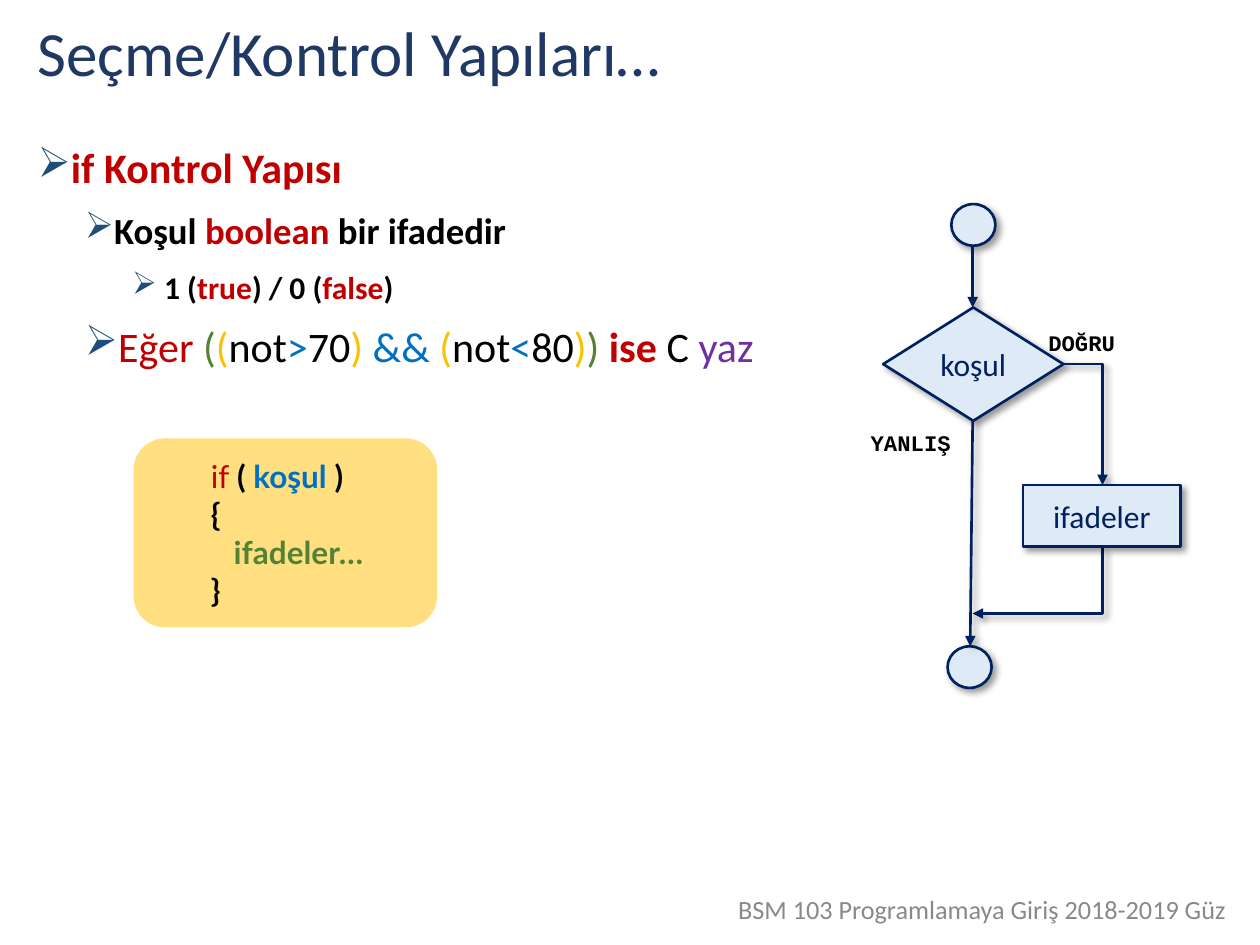
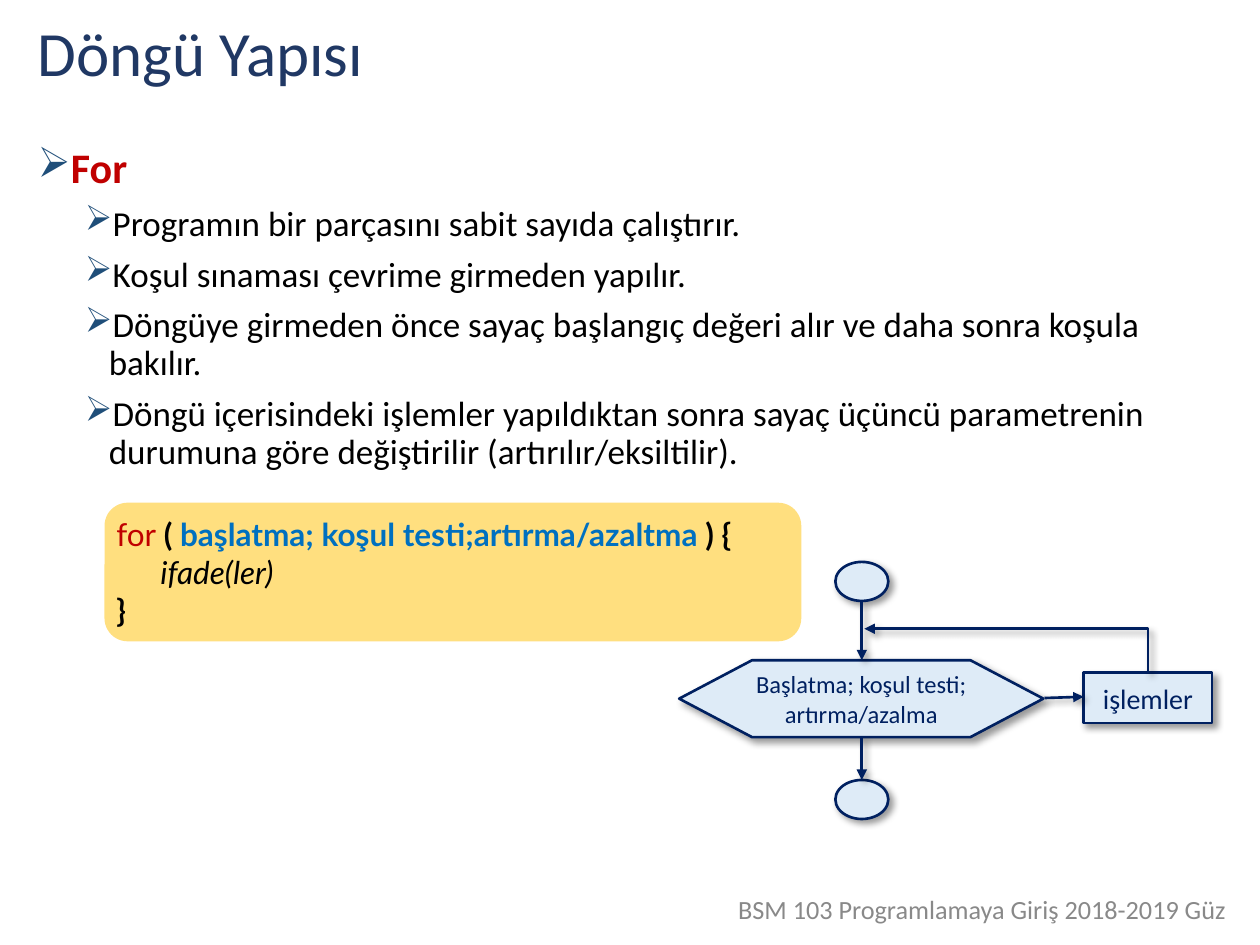
from lxml.etree import SubElement
from pptx import Presentation
from pptx.dml.color import RGBColor
from pptx.enum.shapes import MSO_CONNECTOR as CONN, MSO_SHAPE as SHAPE
from pptx.enum.text import MSO_ANCHOR as ANCHOR, PP_ALIGN as ALIGN
from pptx.oxml.ns import qn
from pptx.util import Inches, Pt

BLACK, RED, BLUE = "000000", "C00000", "0070C0"
GREEN, GOLD, PURPLE = "548235", "FFC000", "7030A0"
NAVY, PALE = "002060", "DEEBF7"
TITLE, BULLET, GREY = "203864", "1F4E79", "898989"
FOOTER = "BSM 103 Programlamaya Giriş 2018-2019 Güz"
FLOW_TEXT = dict(name="Calibri", color=NAVY)


def rgb(color):
    return RGBColor.from_string(color)


def inches(*values):
    return [Inches(v) for v in values]


def add_xml(parent, tag, **attrs):
    el = SubElement(parent, qn(tag))
    for key, value in attrs.items():
        el.set(key, str(value))
    return el


class Deck:
    """Holds the shared style and the slide being filled."""

    def __init__(self):
        self.prs = Presentation()
        self.prs.slide_width, self.prs.slide_height = inches(10, 7.5)
        self.slide = None

    def new_slide(self, title):
        self.slide = self.prs.slides.add_slide(self.prs.slide_layouts[6])
        self.text((5.63, 7.04, 4.33, 0.28), FOOTER, align=ALIGN.CENTER,
                  size=15, name="Calibri", color=GREY)
        tf = self.text((0.2, 0.13, 9.61, 0.63), title,
                       size=36, name="Calibri", color=TITLE)
        tf.vertical_anchor = ANCHOR.MIDDLE
        tf.paragraphs[0].line_spacing = 0.9

    def frame(self, sp, insets=(0.1, 0.05)):
        tf = sp.text_frame
        tf.word_wrap = True
        tf.margin_left = tf.margin_right = Inches(insets[0])
        tf.margin_top = tf.margin_bottom = Inches(insets[1])
        return tf

    def paragraph(self, tf, first):
        return tf.paragraphs[0] if first else tf.add_paragraph()

    def run(self, p, text, **fmt):
        r = p.add_run()
        r.text = text
        for key, value in fmt.items():
            if key == "color":
                r.font.color.rgb = rgb(value)
            else:
                setattr(r.font, key, Pt(value) if key == "size" else value)

    def text(self, box, text, insets=(0.1, 0.05), align=ALIGN.LEFT, **fmt):
        tf = self.frame(self.slide.shapes.add_textbox(*inches(*box)), insets)
        tf.paragraphs[0].alignment = align
        self.run(tf.paragraphs[0], text, **fmt)
        return tf

    def bullets(self, box, items):
        """Each item is (depth, space before, paragraph format, font, runs)."""
        tf = self.frame(self.slide.shapes.add_textbox(*inches(*box)))
        for i, (depth, before, layout, font, runs) in enumerate(items):
            p = self.paragraph(tf, i == 0)
            pPr = p._p.get_or_add_pPr()
            pPr.set("marL", str(Inches(0.19 + 0.375 * depth)))
            pPr.set("indent", str(Inches(-0.19)))
            add_xml(add_xml(pPr, "a:buClr"), "a:srgbClr", val=BULLET)
            add_xml(pPr, "a:buChar", char="➢")
            p.level, p.line_spacing = depth, 0.9
            if i:
                p.space_before = Pt(before)
            for key, value in layout.items():
                setattr(p, key, value)
            for text, color, *bold in runs:
                fmt = dict(name="Calibri", color=color, **font)
                if bold:
                    fmt["bold"] = bold[0]
                self.run(p, text, **fmt)

    def code(self, box, lines, indent=0):
        """Each line is a list of (text, font format)."""
        sp = self.slide.shapes.add_shape(SHAPE.ROUNDED_RECTANGLE, *inches(*box))
        sp.shadow.inherit = False
        sp.fill.solid()
        sp.fill.fore_color.rgb = rgb(GOLD)
        add_xml(sp._element.spPr.find(".//" + qn("a:srgbClr")), "a:alpha", val=50000)
        sp.line.fill.background()
        tf = self.frame(sp, (0.04, 0.05))
        tf.vertical_anchor = ANCHOR.MIDDLE
        for i, runs in enumerate(lines):
            p = self.paragraph(tf, i == 0)
            p.alignment = ALIGN.LEFT
            p._p.get_or_add_pPr().set("marL", str(Inches(indent)))
            for text, fmt in runs:
                self.run(p, text, name="Lato", size=18, **fmt)

    def outline(self, sp):
        sp.line.color.rgb = rgb(NAVY)
        sp.line.width = Pt(1.5)

    def cast_shadow(self, sp):
        effects = add_xml(sp._element.spPr, "a:effectLst")
        shadow = add_xml(effects, "a:outerShdw", blurRad=Pt(4), dist=Pt(3),
                         dir=45 * 60000, algn="tl", rotWithShape=0)
        add_xml(add_xml(shadow, "a:srgbClr", val=BLACK), "a:alpha", val=40000)

    def node(self, kind, box, text="", size=18, side=0.1):
        sp = self.slide.shapes.add_shape(kind, *inches(*box))
        sp.fill.solid()
        sp.fill.fore_color.rgb = rgb(PALE)
        self.outline(sp)
        self.cast_shadow(sp)
        if text:
            tf = self.frame(sp, (side, 0.05))
            tf.vertical_anchor = ANCHOR.MIDDLE
            tf.paragraphs[0].alignment = ALIGN.CENTER
            self.run(tf.paragraphs[0], text, size=size, **FLOW_TEXT)

    def arrow(self, start, end, bent=False, tip="a:tailEnd"):
        """A bent arrow runs level from start, then upright to end."""
        kind = CONN.ELBOW if bent else CONN.STRAIGHT
        sp = self.slide.shapes.add_connector(kind, *inches(*start, *end))
        if bent:
            sp._element.spPr.find(qn("a:prstGeom")).set("prst", "bentConnector2")
        self.outline(sp)
        add_xml(sp.line._get_or_add_ln(), tip, type="triangle")
        self.cast_shadow(sp)


def build_if(deck):
    deck.new_slide("Seçme/Kontrol Yapıları…")
    just = dict(alignment=ALIGN.JUSTIFY)
    deck.bullets((0.2, 1.12, 7.38, 5.47), [
        (0, 0, {}, dict(size=24, bold=True), [("if Kontrol Yapısı", RED)]),
        (1, 11.3, just, dict(size=21, bold=True),
         [("Koşul ", BLACK), ("boolean", RED), (" bir ifadedir", BLACK)]),
        (2, 11.3, just, dict(size=18, bold=True),
         [(" 1 (", BLACK), ("true", RED), (") / 0 (", BLACK),
          ("false", RED), (")", BLACK)]),
        (1, 11.3, just, dict(size=24),
         [("Eğer ", RED), ("(", GREEN), ("(", GOLD), ("not", BLACK),
          (">", BLUE), ("70", BLACK), (") ", GOLD), ("&& ", BLUE),
          ("(", GOLD), ("not", BLACK), ("<", BLUE), ("80", BLACK),
          (")", GOLD), (") ", GREEN), ("ise", RED, True),
          (" C ", BLACK), ("yaz", PURPLE)]),
    ])
    strong = dict(color=BLACK, bold=True)
    deck.code((1.06, 3.48, 2.41, 1.5), [
        [("if", dict(color=RED)), (" ( ", strong),
         ("koşul", dict(color=BLUE, bold=True)), (" )", strong)],
        [("{", strong)],
        [("   ifadeler…", dict(color=GREEN, bold=True))],
        [("}", strong)],
    ], indent=0.5)

    deck.node(SHAPE.DIAMOND, (7.01, 2.44, 1.43, 0.9), "koşul", side=0)
    for left, top in ((7.55, 1.62), (7.52, 5.13)):
        deck.node(SHAPE.OVAL, (left, top, 0.35, 0.33))
    deck.arrow((7.72, 1.95), (7.72, 2.44))
    deck.arrow((7.72, 4.87), (8.75, 4.34), bent=True, tip="a:headEnd")
    deck.arrow((8.43, 2.89), (8.75, 3.85), bent=True)
    deck.node(SHAPE.RECTANGLE, (8.12, 3.85, 1.25, 0.49), "ifadeler")
    for box, label in (((8.32, 2.61, 0.68, 0.22), "DOĞRU"),
                       ((6.91, 3.41, 0.79, 0.21), "YANLIŞ")):
        deck.text(box, label, insets=(0, 0), size=12.7, name="Courier New", **strong)
    deck.arrow((7.72, 3.33), (7.7, 5.13))


def build_for(deck):
    deck.new_slide("Döngü Yapısı")
    facts = (
        "Programın bir parçasını sabit sayıda çalıştırır.",
        "Koşul sınaması çevrime girmeden yapılır.",
        "Döngüye girmeden önce sayaç başlangıç değeri alır ve daha sonra "
        "koşula bakılır.",
        "Döngü içerisindeki işlemler yapıldıktan sonra sayaç üçüncü "
        "parametrenin durumuna göre değiştirilir (artırılır/eksiltilir).",
    )
    deck.bullets((0.2, 1.12, 9.61, 5.48), [
        (0, 0, {}, dict(size=24, bold=True), [("For", RED)]),
        *[(1, 7.5, {}, dict(size=20), [(fact, BLACK)]) for fact in facts],
    ])
    strong = dict(color=BLACK, bold=True)
    deck.code((0.83, 3.99, 5.53, 1.1), [
        [("for", dict(color=RED)), (" ( ", strong),
         ("başlatma; koşul testi;artırma/azaltma ", dict(color=BLUE, bold=True)),
         (") {", strong)],
        [("      ifade(ler)", dict(color=BLACK, italic=True))],
        [("}", strong)],
    ])

    deck.node(SHAPE.FLOWCHART_PREPARATION, (5.39, 5.24, 2.89, 0.61),
              "Başlatma; koşul testi; artırma/azalma", size=14, side=0)
    deck.node(SHAPE.RECTANGLE, (8.6, 5.34, 1.02, 0.4), "işlemler", size=16)
    for top in (4.46, 6.19):
        deck.node(SHAPE.OVAL, (6.63, top, 0.42, 0.31))
    deck.arrow((6.84, 4.78), (6.84, 5.24))
    deck.arrow((6.86, 4.99), (9.11, 5.34), bent=True, tip="a:headEnd")
    deck.arrow((8.29, 5.54), (8.6, 5.53))
    deck.arrow((6.84, 5.85), (6.84, 6.19))


def main():
    deck = Deck()
    build_if(deck)
    build_for(deck)
    deck.prs.save("out.pptx")


if __name__ == "__main__":
    main()
